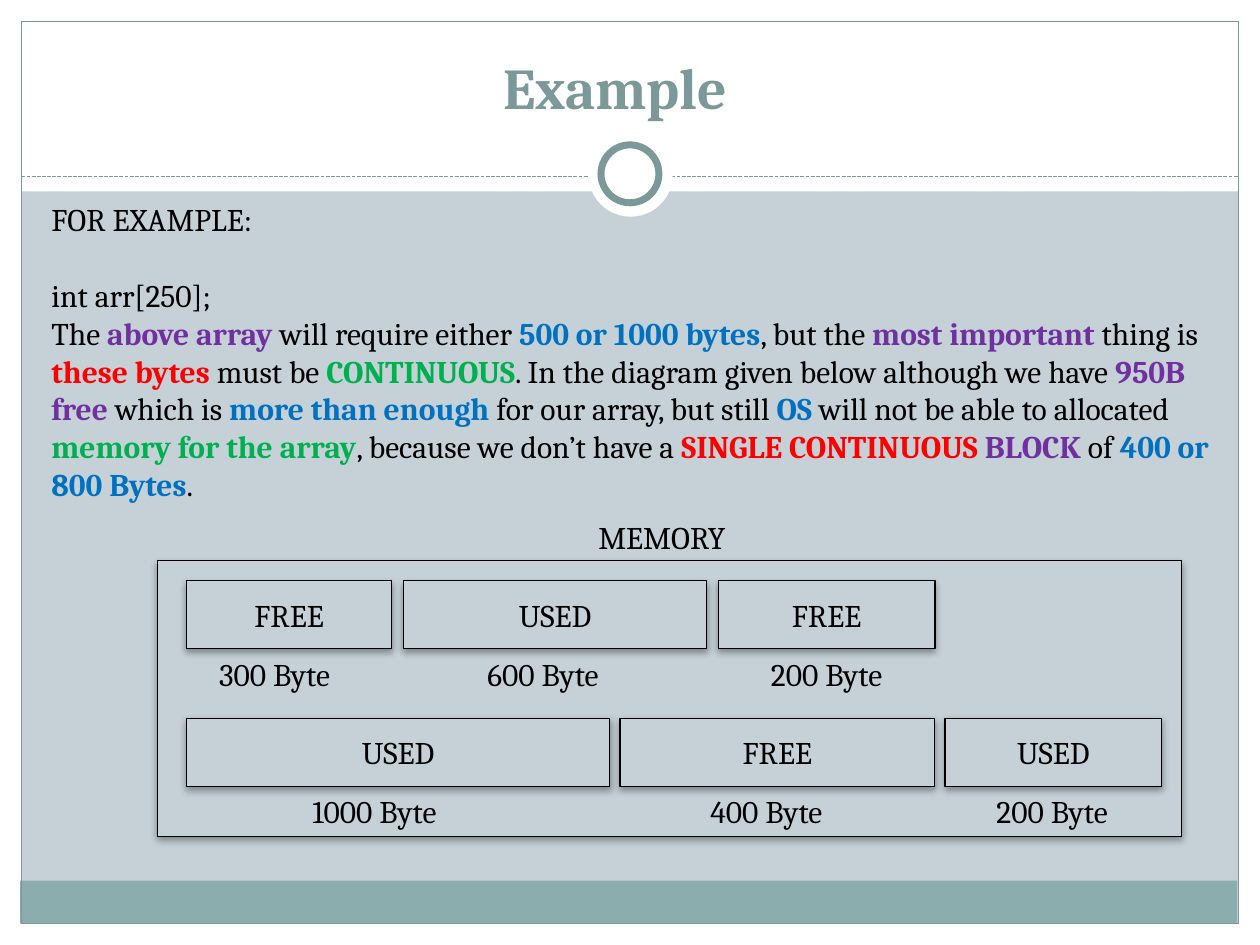
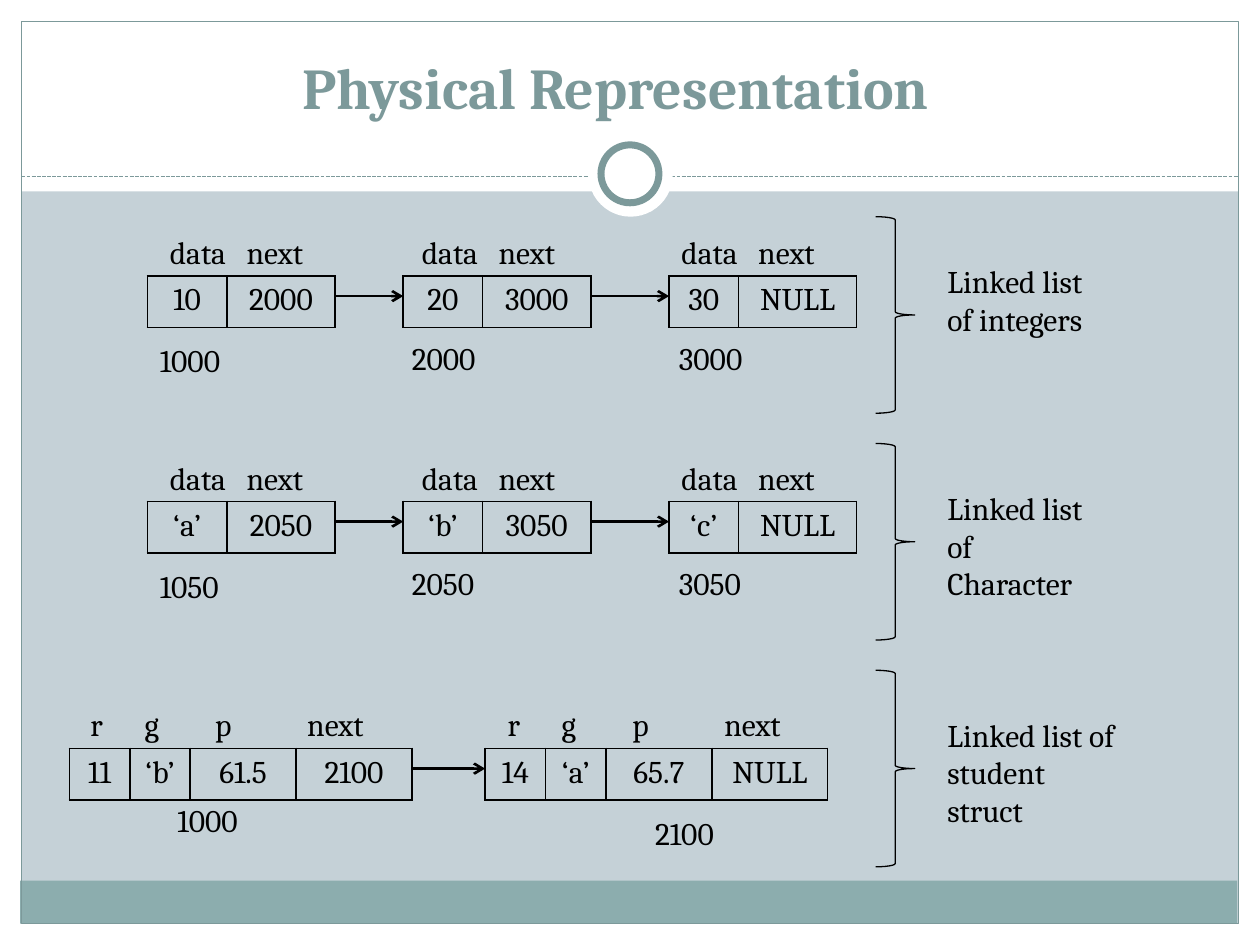
"""Build two slides on array memory blocks and the physical layout of linked lists."""
import pptx
import pptx.dml.color
import pptx.enum.dml
import pptx.enum.shapes
import pptx.enum.text
import pptx.oxml
import pptx.oxml.ns
import pptx.util

Inches = pptx.util.Inches
Pt = pptx.util.Pt
SHAPES = pptx.enum.shapes.MSO_SHAPE
STRAIGHT = pptx.enum.shapes.MSO_CONNECTOR.STRAIGHT
CENTER = pptx.enum.text.PP_ALIGN.CENTER
ANCHOR = pptx.enum.text.MSO_ANCHOR

COLORS = {
    "background": "C5D1D7", "white": "FFFFFF", "band": "8CADAE", "accent": "7C999A", "black": "000000",
    "purple": "7030A0", "blue": "0070C0", "red": "FF0000", "green": "00B050",
}
TITLE_FONT = {"name": "Cambria", "size": Pt(33), "bold": True}
TEXT_FONT = {"name": "Cambria", "size": Pt(18), "bold": False}
TITLE_BOX = (1.8, 0.31, 6.17, 0.7)
TITLE_FRAME = {"vertical_anchor": ANCHOR.BOTTOM, "auto_size": pptx.enum.text.MSO_AUTO_SIZE.NONE}

MASTER_PANELS = [
    (0, 7.33, 10, 0.17, "white"), (0, 0, 10, 1.52, "white"), (0, 0, 0.17, 7.5, "white"),
    (9.83, 0, 0.17, 7.5, "white"), (0.16, 6.99, 9.66, 0.34, "band"),
]

EXPLANATION = [
    ("The ", None), ("above array ", "purple"), ("will require either ", None), ("500 or 1000 bytes", "blue"),
    (", but the ", None), ("most important ", "purple"), ("thing is ", None), ("these bytes ", "red"),
    ("must be ", None), ("CONTINUOUS", "green"), (". In the diagram given below although we have", None),
    (" 950B free ", "purple"), ("which is ", None), ("more than enough", "blue"),
    (" for our array, but still ", None), ("OS", "blue"), (" will not be able to allocated ", None),
    ("memory for the array", "green"), (", because we don’t have a ", None), ("SINGLE CONTINUOUS ", "red"),
    ("BLOCK", "purple"), (" of ", None), ("400 or 800 Bytes", "blue"), (".", None),
]
EXAMPLE_PARAGRAPHS = [[("FOR EXAMPLE:", None)], [("int arr[250];", None)], EXPLANATION]
MEMORY_ROWS = [
    {"top": 4.61, "gap": 0.09, "blocks": [
        ("FREE", 1.63, "300 Byte", 1.64), ("USED", 2.41, "600 Byte", 3.77), ("FREE", 1.72, "200 Byte", 6.02)]},
    {"top": 5.7, "gap": 0.08, "blocks": [
        ("USED", 3.36, "1000 Byte", 2.38), ("FREE", 2.5, "400 Byte", 5.54), ("USED", 1.72, "200 Byte", 7.81)]},
]
MEMORY_LEFT = 1.48
BLOCK_HEIGHT = 0.54

PAIR_HEADER = {"names": "data\tnext", "tabs": [0.61], "width": 1.6}
STUDENT_HEADER = {"names": "r\tg\tp\tnext", "tabs": [0.43, 0.99, 1.72], "width": 2.9}
PAIR_NODES = [
    {"left": 1.17, "columns": [0.63, 0.86], "header": 1.25, "address": (1.17, 0.47)},
    {"left": 3.2, "columns": [0.63, 0.86], "header": 3.25, "address": (3.17, 0.45)},
    {"left": 5.31, "columns": [0.55, 0.94], "header": 5.31, "address": (5.29, 0.45)},
]
STUDENT_COLUMNS = [0.48, 0.48, 0.84, 0.92]
STUDENT_NODES = [
    {"left": 0.55, "columns": STUDENT_COLUMNS, "header": 0.62, "address": (1.31, 0.37)},
    {"left": 3.85, "columns": STUDENT_COLUMNS, "header": 3.93, "address": (5.1, 0.47)},
]
LINKED_LISTS = [
    {"caption": "Linked list of integers", "caption_width": 1.33, "top": 2.19, "header": PAIR_HEADER,
     "nodes": PAIR_NODES, "values": [["10", "2000"], ["20", "3000"], ["30", "NULL"]],
     "addresses": ["1000", "2000", "3000"]},
    {"caption": "Linked list of Character", "caption_width": 1.33, "top": 3.98, "header": PAIR_HEADER,
     "nodes": PAIR_NODES, "values": [["‘a’", "2050"], ["‘b’", "3050"], ["‘c’", "NULL"]],
     "addresses": ["1050", "2050", "3050"]},
    {"caption": "Linked list of student struct", "caption_width": 1.56, "top": 5.94, "header": STUDENT_HEADER,
     "nodes": STUDENT_NODES, "values": [["11", "‘b’", "61.5", "2100"], ["14", "‘a’", "65.7", "NULL"]],
     "addresses": ["1000", "2100"]},
]
BRACE_TOP, BRACE_STEP = 1.72, 1.8
LABEL_HEIGHT = 0.4
ROW_HEIGHT = 0.41


def rgb(color):
    return pptx.dml.color.RGBColor.from_string(COLORS[color])


def lengths(values):
    return [Inches(value) for value in values]


def apply(target, values):
    for name, value in values.items():
        setattr(target, name, value)


def add_run(paragraph, text, color="black", font=TEXT_FONT, **changes):
    run = paragraph.add_run()
    run.text = text
    apply(run.font, {**font, **changes})
    run.font.color.rgb = rgb(color)


def add_xml(parent, xml):
    element = pptx.oxml.parse_xml(xml.replace(">", f" {pptx.oxml.ns.nsdecls('a')}>", 1))
    parent.append(element)


def format_line(line, color, width):
    line.color.rgb = rgb(color)
    line.width = Pt(width)


def add_figure(slide, preset, box, fill=None, line=None, width=0.75):
    shape = slide.shapes.add_shape(preset, *lengths(box))
    shape.shadow.inherit = False
    if fill:
        shape.fill.solid()
        shape.fill.fore_color.rgb = rgb(fill)
    else:
        shape.fill.background()
    if line:
        format_line(shape.line, line, width)
    else:
        shape.line.fill.background()
    return shape


def add_line(slide, start, end, color, width):
    connector = slide.shapes.add_connector(STRAIGHT, *lengths(start + end))
    format_line(connector.line, color, width)
    return connector


def finish_line(connector):
    add_xml(connector.element.spPr, "<a:effectLst></a:effectLst>")


def add_arrow(slide, start, end):
    connector = add_line(slide, start, end, "black", 1.5)
    add_xml(connector.line._get_or_add_ln(), '<a:tailEnd type="arrow"></a:tailEnd>')
    finish_line(connector)


def add_label(slide, text, box, wrap=False, tabs=()):
    text_frame = slide.shapes.add_textbox(*lengths(box)).text_frame
    text_frame.word_wrap = wrap
    paragraph = text_frame.paragraphs[0]
    if tabs:
        stops = "".join(f'<a:tab pos="{Inches(tab)}" algn="l"/>' for tab in tabs)
        add_xml(paragraph._p.get_or_add_pPr(), f"<a:tabLst>{stops}</a:tabLst>")
    for index, part in enumerate(text.split("\t")):
        add_run(paragraph, part if index == 0 else "\t" + part)


def decorate_master(presentation, slide):
    master = presentation.slide_master
    master.background.fill.solid()
    master.background.fill.fore_color.rgb = rgb("background")
    parts = [add_figure(slide, SHAPES.RECTANGLE, panel[:4], panel[4]) for panel in MASTER_PANELS]
    parts.append(add_figure(slide, SHAPES.RECTANGLE, (0.17, 0.17, 9.66, 7.16), line="accent"))
    divider = add_line(slide, (0.17, 1.4), (9.83, 1.4), "accent", 0.75)
    divider.line.dash_style = pptx.enum.dml.MSO_LINE.SQUARE_DOT
    finish_line(divider)
    parts.append(divider)
    parts.append(add_figure(slide, SHAPES.OVAL, (4.67, 1.05, 0.67, 0.67), "white"))
    parts.append(add_figure(slide, SHAPES.OVAL, (4.77, 1.15, 0.46, 0.46), "white", "accent", 4))
    for position, part in enumerate(parts, start=2):
        master.shapes.element.insert(position, part.element)


def add_titled_slide(presentation, title):
    slide = presentation.slides.add_slide(presentation.slide_layouts[5])
    shape = slide.shapes.title
    apply(shape, dict(zip(("left", "top", "width", "height"), lengths(TITLE_BOX))))
    apply(shape.text_frame, TITLE_FRAME)
    paragraph = shape.text_frame.paragraphs[0]
    paragraph.alignment = CENTER
    add_run(paragraph, title, "accent", TITLE_FONT)
    return slide


def add_memory_box(slide, box):
    shape = add_figure(slide, SHAPES.RECTANGLE, box, "background", "black")
    effects = shape.element.spPr.find(pptx.oxml.ns.qn("a:effectLst"))
    add_xml(effects, f'<a:outerShdw blurRad="{Pt(4)}" dist="{Pt(2)}" dir="5400000" rotWithShape="0">'
            f'<a:srgbClr val="{COLORS["black"]}"><a:alpha val="35000"/></a:srgbClr></a:outerShdw>')
    return shape


def add_example(slide):
    add_memory_box(slide, (1.25, 4.45, 8.13, 2.19))
    for row in MEMORY_ROWS:
        left = MEMORY_LEFT
        for state, width, size, size_left in row["blocks"]:
            block = add_memory_box(slide, (left, row["top"], width, BLOCK_HEIGHT))
            block.text_frame.vertical_anchor = ANCHOR.MIDDLE
            paragraph = block.text_frame.paragraphs[0]
            paragraph.alignment = CENTER
            add_run(paragraph, state)
            add_label(slide, size, (size_left, row["top"] + BLOCK_HEIGHT, 1.21, LABEL_HEIGHT))
            left += width + row["gap"]
    add_label(slide, "MEMORY", (4.65, 4.06, 1.36, LABEL_HEIGHT))
    text_frame = slide.shapes.add_textbox(*lengths((0.31, 1.54, 9.53, 2.52))).text_frame
    text_frame.word_wrap = True
    for index, runs in enumerate(EXAMPLE_PARAGRAPHS):
        paragraph = text_frame.add_paragraph() if index else text_frame.paragraphs[0]
        if index == 1:
            paragraph.space_before = Pt(21.7)
        for text, color in runs:
            add_run(paragraph, text, color or "black", bold=color is not None)


def add_node(slide, node, top, values):
    box = (node["left"], top, sum(node["columns"]), ROW_HEIGHT)
    table = slide.shapes.add_table(1, len(values), *lengths(box)).table
    apply(table, {"first_row": False, "horz_banding": False})
    for column, width, cell, value in zip(table.columns, node["columns"], table.rows[0].cells, values):
        column.width = Inches(width)
        paragraph = cell.text_frame.paragraphs[0]
        paragraph.alignment = CENTER
        add_run(paragraph, value)
        properties = cell._tc.get_or_add_tcPr()
        for side in "LRTB":
            add_xml(properties, f'<a:ln{side} w="{Pt(1)}"><a:solidFill><a:srgbClr val="{COLORS["black"]}"/>'
                    f"</a:solidFill></a:ln{side}>")
        cell.fill.background()


def add_linked_list(slide, linked_list, brace_top):
    top, header, nodes = linked_list["top"], linked_list["header"], linked_list["nodes"]
    for node, values, address in zip(nodes, linked_list["values"], linked_list["addresses"]):
        add_node(slide, node, top, values)
        header_box = (node["header"], top - 0.39, header["width"], LABEL_HEIGHT)
        add_label(slide, header["names"], header_box, True, header["tabs"])
        address_left, drop = node["address"]
        add_label(slide, address, (address_left, top + drop, 0.78, LABEL_HEIGHT))
    for node, following in zip(nodes, nodes[1:]):
        start = node["left"] + sum(node["columns"])
        add_arrow(slide, (start, top + 0.16), (following["left"], top + 0.16))
    add_figure(slide, SHAPES.RIGHT_BRACE, (6.95, brace_top, 0.31, 1.56), line="black")
    caption_box = (7.42, brace_top + 0.31, linked_list["caption_width"], 1.01)
    add_label(slide, linked_list["caption"], caption_box, True)


def main():
    presentation = pptx.Presentation()
    apply(presentation, {"slide_width": Inches(10), "slide_height": Inches(7.5)})
    example = add_titled_slide(presentation, "Example")
    decorate_master(presentation, example)
    add_example(example)
    representation = add_titled_slide(presentation, "Physical Representation")
    for index, linked_list in enumerate(LINKED_LISTS):
        add_linked_list(representation, linked_list, BRACE_TOP + index * BRACE_STEP)
    presentation.save("out.pptx")


if __name__ == "__main__":
    main()
